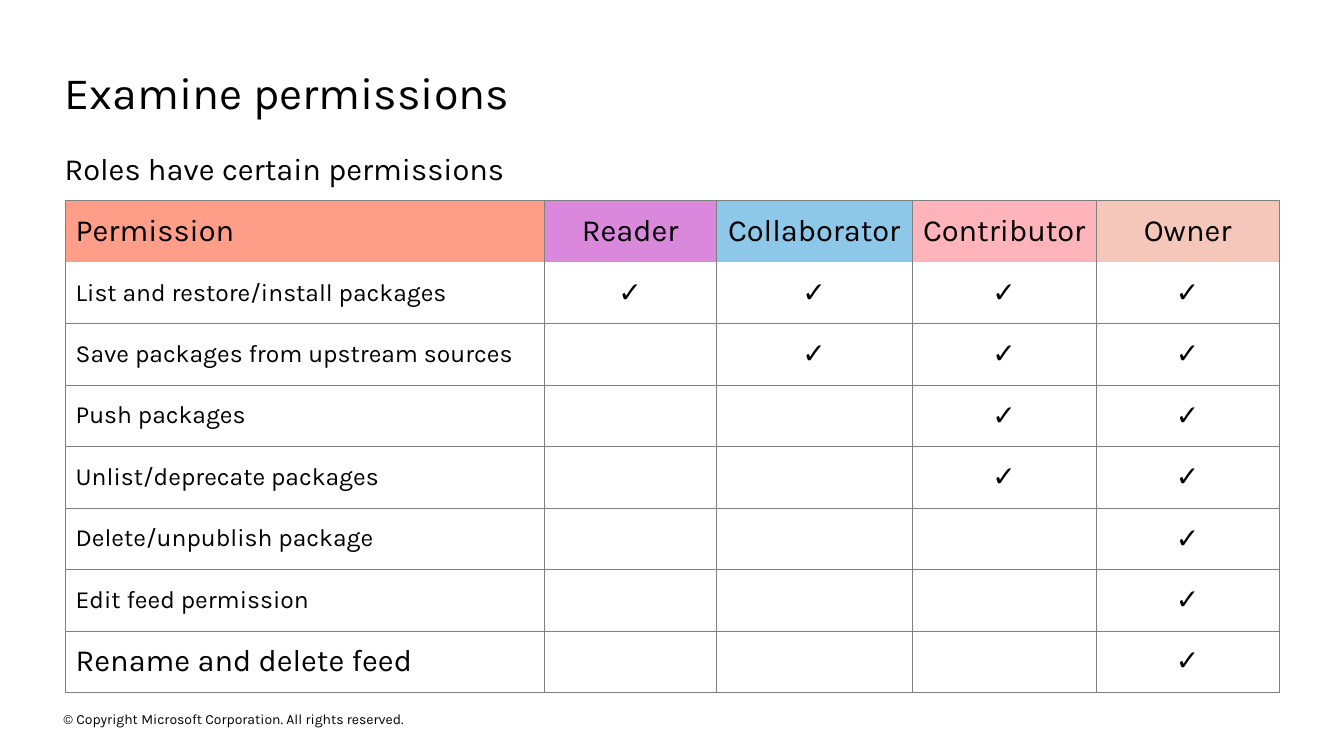
from lxml.etree import SubElement
from pptx import Presentation
from pptx.dml.color import RGBColor
from pptx.enum.text import MSO_ANCHOR as Anchor, MSO_AUTO_SIZE as AutoSize, PP_ALIGN as Align
from pptx.oxml.ns import qn
from pptx.util import Inches, Pt

BLACK = RGBColor(0x00, 0x00, 0x00)
WHITE = RGBColor(0xFF, 0xFF, 0xFF)
GRAY = RGBColor(0x80, 0x80, 0x80)
CORAL = RGBColor(0xFE, 0x9D, 0x88)
ORCHID = RGBColor(0xD9, 0x88, 0xDC)
SKY = RGBColor(0x8D, 0xC8, 0xE8)
PINK = RGBColor(0xFF, 0xB3, 0xBB)
PEACH = RGBColor(0xF5, 0xC7, 0xBB)

COLUMNS = [
    ("Permission", 4.75, CORAL),
    ("Reader", 1.7, ORCHID),
    ("Collaborator", 1.95, SKY),
    ("Contributor", 1.82, PINK),
    ("Owner", 1.82, PEACH),
]
PERMISSIONS = [
    ("List and restore/install packages", 17.6, 4),
    ("Save packages from upstream sources", 17.6, 3),
    ("Push packages", 17.6, 2),
    ("Unlist/deprecate packages", 17.6, 2),
    ("Delete/unpublish package", 17.6, 1),
    ("Edit feed permission", 17.6, 1),
    ("Rename and delete feed", 22, 1),
]
ROLE_COUNT = len(COLUMNS) - 1
ROW_HEIGHT = 0.61


class SlideBuilder:
    font_name = "Karla"
    text_color = BLACK
    border_color = GRAY
    border_width = Pt(0.5)

    def __init__(self, presentation):
        self.slide = presentation.slides.add_slide(presentation.slide_layouts[5])

    def set_text(self, frame, text, size, align=Align.LEFT):
        paragraph = frame.paragraphs[0]
        paragraph.text = text
        paragraph.alignment = align
        paragraph.font.name = self.font_name
        paragraph.font.size = Pt(size)
        paragraph.font.color.rgb = self.text_color

    def fill_box(self, shape, text, size, anchor):
        frame = shape.text_frame
        frame.word_wrap = True
        frame.auto_size = AutoSize.NONE
        frame.vertical_anchor = anchor
        frame.margin_left = frame.margin_right = 0
        frame.margin_top = frame.margin_bottom = 0
        self.set_text(frame, text, size)

    def title(self, text, left, top, width, height, size):
        shape = self.slide.shapes.title
        shape.left, shape.top = Inches(left), Inches(top)
        shape.width, shape.height = Inches(width), Inches(height)
        self.fill_box(shape, text, size, Anchor.TOP)

    def text(self, text, left, top, width, height, size):
        shape = self.slide.shapes.add_textbox(
            Inches(left), Inches(top), Inches(width), Inches(height))
        self.fill_box(shape, text, size, Anchor.MIDDLE)

    def borders(self, cell, hidden_side):
        properties = cell._tc.get_or_add_tcPr()
        for side in "LRTB":
            line = SubElement(properties, qn(f"a:ln{side}"), w=str(self.border_width))
            if side == hidden_side:
                SubElement(line, qn("a:noFill"))
            else:
                solid = SubElement(line, qn("a:solidFill"))
                SubElement(solid, qn("a:srgbClr"), val=str(self.border_color))

    def cell(self, cell, text, size, fill, align, hidden_side=None):
        self.borders(cell, hidden_side)
        cell.fill.solid()
        cell.fill.fore_color.rgb = fill
        cell.vertical_anchor = Anchor.MIDDLE
        if align == Align.CENTER:
            cell.margin_left = cell.margin_right = Inches(0.05)
        self.set_text(cell.text_frame, text, size, align)

    def permission_table(self, left, top):
        row_count = len(PERMISSIONS) + 1
        width = sum(column_width for _, column_width, _ in COLUMNS)
        table = self.slide.shapes.add_table(
            row_count, len(COLUMNS), Inches(left), Inches(top),
            Inches(width), Inches(ROW_HEIGHT * row_count)).table
        for row in table.rows:
            row.height = Inches(ROW_HEIGHT)
        for index, (heading, column_width, color) in enumerate(COLUMNS):
            table.columns[index].width = Inches(column_width)
            align = Align.CENTER if index else Align.LEFT
            self.cell(table.cell(0, index), heading, 22, color, align, "B")
        for row, (permission, size, granted) in enumerate(PERMISSIONS, 1):
            hidden_side = "T" if row == 1 else None
            self.cell(table.cell(row, 0), permission, size, WHITE, Align.LEFT, hidden_side)
            for role in range(1, ROLE_COUNT + 1):
                mark = "✓" if role > ROLE_COUNT - granted else ""
                self.cell(table.cell(row, role), mark, 20, WHITE, Align.CENTER, hidden_side)


def main():
    presentation = Presentation()
    presentation.slide_width = Inches(13.33)
    presentation.slide_height = Inches(7.5)
    builder = SlideBuilder(presentation)
    builder.title("Examine permissions", 0.64, 0.64, 12.04, 0.54, 32)
    builder.text("Roles have certain permissions", 0.64, 1.52, 12.04, 0.3, 22)
    builder.permission_table(0.65, 1.99)
    builder.text("© Copyright Microsoft Corporation. All rights reserved.",
                 0.63, 7.02, 4.54, 0.22, 10)
    presentation.save("out.pptx")


if __name__ == "__main__":
    main()
